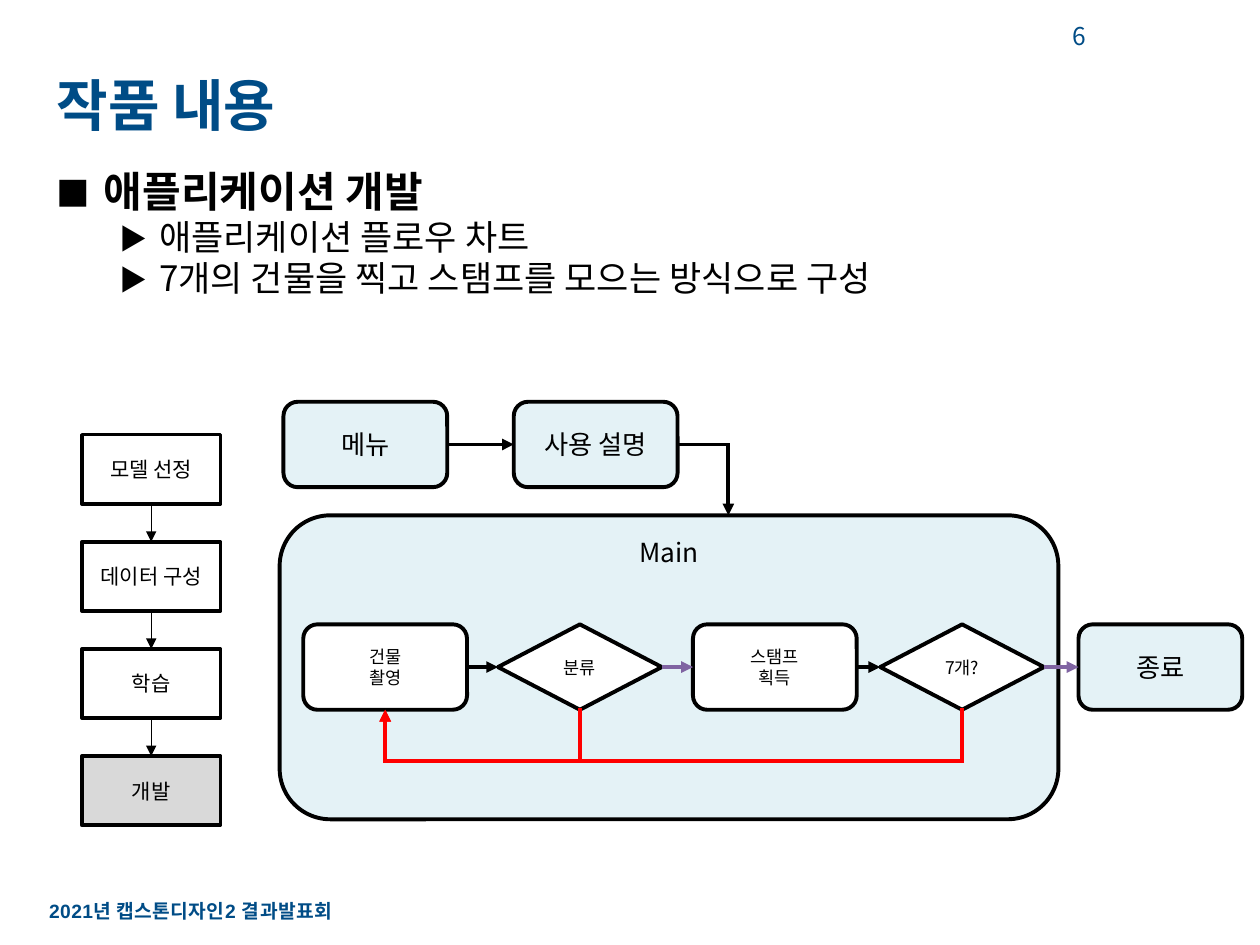
import itertools

import pptx
import pptx.dml.color
import pptx.enum.shapes
import pptx.enum.text
import pptx.oxml.ns
import pptx.util
from lxml import etree

FONT = "Noto Sans CJK KR"
NAVY, BLACK, WHITE = "004C86", "000000", "FFFFFF"
PALE, GREY, RED, PURPLE = "DBEEF4", "D9D9D9", "FF0000", "8064A2"
NODE_WIDTH, NODE_HEIGHT = 93.6, 48.8
STEP_LEFT, STEP_TOP, STEP_WIDTH, STEP_HEIGHT, STEP_PITCH = 46.8, 248.4, 79.2, 39.6, 61.2

Pt = pptx.util.Pt
SHAPE = pptx.enum.shapes.MSO_SHAPE
ALIGN = pptx.enum.text.PP_ALIGN
ANCHOR = pptx.enum.text.MSO_ANCHOR


def add_element(parent, tag, **attributes):
    return etree.SubElement(parent, pptx.oxml.ns.qn(tag), attributes)


def paint(color_format, color):
    color_format.rgb = pptx.dml.color.RGBColor.from_string(color)


def fill_solid(shape, color, alpha=None):
    shape.fill.solid()
    paint(shape.fill.fore_color, color)
    if alpha:
        color_element = shape.fill._xPr.find(".//" + pptx.oxml.ns.qn("a:srgbClr"))
        add_element(color_element, "a:alpha", val=str(alpha * 1000))


def write(para, text, size=15, color=BLACK, bold=False, font=FONT, align=ALIGN.CENTER, spacing=None):
    para.alignment = align
    span = para.add_run()
    span.text = text
    span.font.size = Pt(size)
    span.font.bold = bold
    span.font.name = font
    paint(span.font.color, color)
    properties = span.font._element
    add_element(properties, "a:ea", typeface=FONT)
    if spacing:
        properties.set("spc", str(spacing))


def add_label(page, left, top, width, height, text, anchor=ANCHOR.TOP, **style):
    box = page.shapes.add_textbox(Pt(left), Pt(top), Pt(width), Pt(height))
    box.text_frame.word_wrap = True
    box.text_frame.vertical_anchor = anchor
    write(box.text_frame.paragraphs[0], text, **style)


def place(placeholder, left, top, width, height):
    placeholder.left, placeholder.top = Pt(left), Pt(top)
    placeholder.width, placeholder.height = Pt(width), Pt(height)
    frame = placeholder.text_frame
    frame.auto_size = pptx.enum.text.MSO_AUTO_SIZE.NONE
    frame.vertical_anchor = ANCHOR.TOP
    return frame


def add_bullet(para, mark, margin, indent):
    properties = para._p.get_or_add_pPr()
    properties.set("marL", str(Pt(margin)))
    properties.set("indent", str(Pt(-indent)))
    add_element(properties, "a:buSzPct", val="80000")
    add_element(properties, "a:buFont", typeface=FONT)
    add_element(properties, "a:buChar", char=mark)


def fill_title(page, text):
    para = place(page.shapes.title, 25.2, 41, 663, 44).paragraphs[0]
    para.line_spacing = 0.9
    write(para, text, size=32, color=NAVY, bold=True, align=ALIGN.LEFT)


def fill_body(page, heading, items):
    frame = place(page.placeholders[1], 25.2, 94.3, 663, 408)
    for index, text in enumerate([heading] + items):
        para = frame.add_paragraph() if index else frame.paragraphs[0]
        para.level = 1 if index else 0
        add_bullet(para, *(("▶", 58.5, 22.5) if index else ("■", 27, 27)))
        para.line_spacing = 0.9
        para.space_before = Pt(2 if index else 0)
        write(para, text, size=20 if index else 24, bold=not index, align=ALIGN.LEFT)


def add_node(page, kind, left, top, lines, width=NODE_WIDTH, height=NODE_HEIGHT,
             fill=None, alpha=None, border=2.25, size=15, anchor=ANCHOR.MIDDLE):
    node = page.shapes.add_shape(kind, Pt(left), Pt(top), Pt(width), Pt(height))
    node.shadow.inherit = False
    if fill:
        fill_solid(node, fill, alpha)
    else:
        node.fill.background()
    paint(node.line.color, BLACK)
    node.line.width = Pt(border)
    frame = node.text_frame
    frame.word_wrap = True
    frame.vertical_anchor = anchor
    for index, text in enumerate(lines):
        write(frame.add_paragraph() if index else frame.paragraphs[0], text, size=size)


def add_route(page, points, color=BLACK, width=2.25):
    for start, end in itertools.pairwise(points):
        line = page.shapes.add_connector(
            pptx.enum.shapes.MSO_CONNECTOR.STRAIGHT, *map(Pt, start + end))
        paint(line.line.color, color)
        line.line.width = Pt(width)
        outline = line.line._get_or_add_ln()
        if len(points) > 2:
            outline.set("cap", "sq")
        if end == points[-1]:
            add_element(outline, "a:tailEnd", type="triangle")
        add_element(line._element.spPr, "a:effectLst")


def add_process(page, steps):
    center = STEP_LEFT + STEP_WIDTH / 2
    for index, text in enumerate(steps):
        top = STEP_TOP + index * STEP_PITCH
        is_current = index == len(steps) - 1
        add_node(page, SHAPE.RECTANGLE, STEP_LEFT, top, [text], STEP_WIDTH, STEP_HEIGHT,
                 fill=GREY if is_current else None, border=2, size=12)
        if not is_current:
            add_route(page, [(center, top + STEP_HEIGHT), (center, top + STEP_PITCH)], width=0.75)


def add_flowchart(page):
    menu_left, guide_left, start_top = 162, 293.6, 229.6
    main_left, main_top, main_width, main_height = 159.8, 294.5, 445, 173.7
    row_top, loop_y = 356.8, 435
    row_middle, row_bottom = row_top + NODE_HEIGHT / 2, row_top + NODE_HEIGHT
    start_middle = start_top + NODE_HEIGHT / 2
    main_center = main_left + 256.4
    rounded, diamond = SHAPE.ROUNDED_RECTANGLE, SHAPE.DIAMOND
    pale = {"fill": PALE, "alpha": 75}

    add_node(page, rounded, menu_left, start_top, ["메뉴"], **pale)
    add_node(page, rounded, guide_left, start_top, ["사용 설명"], **pale)
    add_node(page, rounded, main_left, main_top, ["Main"], main_width, main_height,
             anchor=ANCHOR.TOP, **pale)

    inner = {"fill": WHITE, "size": 10}
    row = [
        (rounded, 173.3, ["건물", "촬영"], inner, BLACK),
        (diamond, 284.6, ["분류"], inner, PURPLE),
        (rounded, 396, ["스탬프", "획득"], inner, BLACK),
        (diamond, 503, ["7개?"], inner, PURPLE),
        (rounded, 616.3, ["종료"], pale, None),
    ]
    for kind, left, lines, style, _ in row:
        add_node(page, kind, left, row_top, lines, **style)
    for (_, left, _, _, color), (_, following, _, _, _) in itertools.pairwise(row):
        add_route(page, [(left + NODE_WIDTH, row_middle), (following, row_middle)], color)

    photo_center = row[0][1] + NODE_WIDTH / 2
    for kind, left, *_ in row:
        if kind == diamond:
            center = left + NODE_WIDTH / 2
            add_route(page, [(center, row_bottom), (center, loop_y),
                             (photo_center, loop_y), (photo_center, row_bottom)], RED)

    add_route(page, [(menu_left + NODE_WIDTH, start_middle), (guide_left, start_middle)])
    add_route(page, [(guide_left + NODE_WIDTH, start_middle),
                     (main_center, start_middle), (main_center, main_top)])


def main():
    deck = pptx.Presentation()
    deck.slide_width, deck.slide_height = Pt(720), Pt(540)
    page = deck.slides.add_slide(deck.slide_layouts[1])
    add_label(page, 21, 510.5, 207, 21, "2021년 캡스톤디자인2 결과발표회",
              size=11, color=NAVY, bold=True, font="Arial", align=ALIGN.LEFT, spacing=20)
    fill_body(page, "애플리케이션 개발",
              ["애플리케이션 플로우 차트", "7개의 건물을 찍고 스탬프를 모으는 방식으로 구성"])
    fill_title(page, "작품 내용")
    add_label(page, 587, 6, 60, 29, "6", ANCHOR.MIDDLE, size=14, color=NAVY)
    add_flowchart(page)
    add_process(page, ["모델 선정", "데이터 구성", "학습", "개발"])
    deck.save("out.pptx")


if __name__ == "__main__":
    main()
